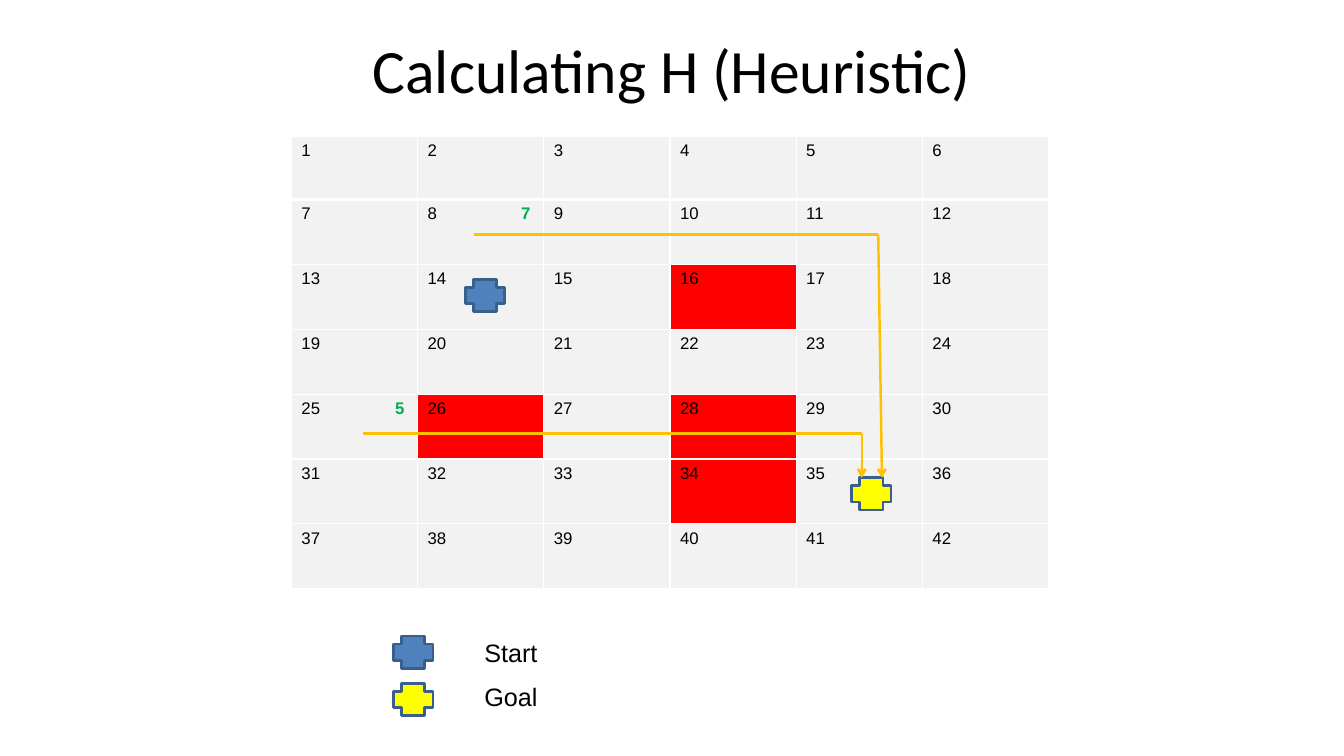
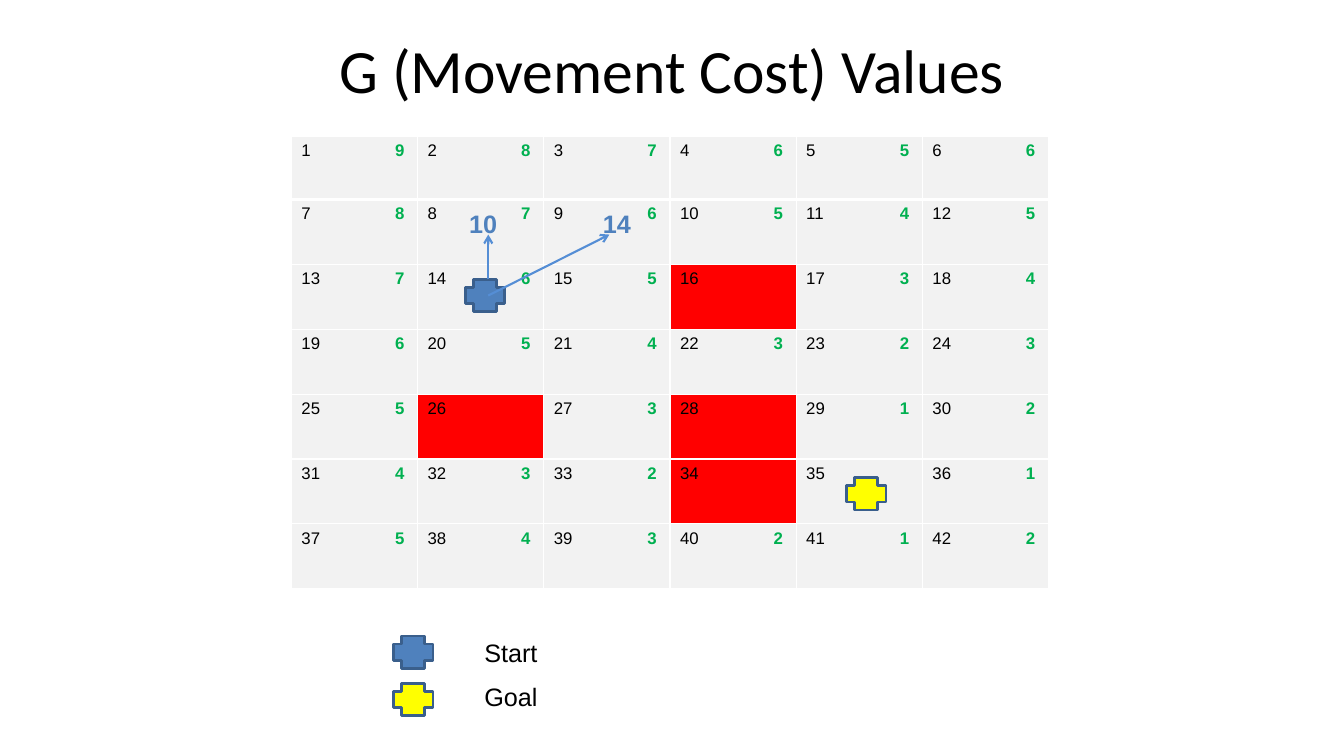
import lxml.etree
import pptx
import pptx.dml.color
import pptx.enum.shapes
import pptx.enum.text
import pptx.oxml.ns
import pptx.util

RGB = pptx.dml.color.RGBColor
BLACK = RGB(0x00, 0x00, 0x00)
WHITE = RGB(0xFF, 0xFF, 0xFF)
GREY = RGB(0xF2, 0xF2, 0xF2)
RED = RGB(0xFF, 0x00, 0x00)
GREEN = RGB(0x00, 0xB0, 0x50)
BLUE = RGB(0x4F, 0x81, 0xBD)
NAVY = RGB(0x3A, 0x5F, 0x8C)
SKY = RGB(0x55, 0x8E, 0xD5)
YELLOW = RGB(0xFF, 0xFF, 0x00)
AMBER = RGB(0xFF, 0xC0, 0x00)

INCH = pptx.util.Inches
WIDE, HIGH = INCH(13.33), INCH(7.5)

COLS, ROWS = 6, 7
LEFT, TOP = INCH(2.89), INCH(1.35)
GRID_W, GRID_H = INCH(7.51), INCH(4.49)
HEAD = INCH(0.63)
COL = GRID_W // COLS
ROW = (GRID_H - HEAD) // (ROWS - 1)
TAB = INCH(1.02)

WALLS = {16, 26, 28, 34}
GOAL = 35
CELLS = set(range(1, COLS * ROWS + 1))


def spot(col, row):
    """Turn a grid column and row, counted from 0, into a slide position."""
    return round(LEFT + col * COL), round(TOP + HEAD + (row - 1) * ROW)


def steps(cell):
    """Count the moves across and down from a cell to the goal."""
    row, col = divmod(cell - 1, COLS)
    goal_row, goal_col = divmod(GOAL - 1, COLS)
    return abs(row - goal_row) + abs(col - goal_col)


def add_node(parent, tag, **attrs):
    node = lxml.etree.SubElement(parent, pptx.oxml.ns.qn(tag))
    for name, value in attrs.items():
        node.set(name, str(value))
    return node


def add_run(para, text, size, color=BLACK, bold=False, face="Arial"):
    run = para.add_run()
    run.text = text
    run.font.name = face
    run.font.size = pptx.util.Pt(size)
    run.font.bold = bold
    run.font.color.rgb = color


def set_title(slide, text):
    title = slide.shapes.title
    title.left, title.top = round((WIDE - INCH(9)) / 2), round(HIGH * 0.04)
    title.width, title.height = INCH(9), INCH(0.77)
    frame = title.text_frame
    frame.vertical_anchor = pptx.enum.text.MSO_ANCHOR.MIDDLE
    para = frame.paragraphs[0]
    para.alignment = pptx.enum.text.PP_ALIGN.CENTER
    add_run(para, text, 44, face="Calibri")


def set_edges(cell, row):
    """Draw white cell borders, with a thick rule under the first row."""
    props = cell._tc.get_or_add_tcPr()
    wide = {0: "a:lnB", 1: "a:lnT"}.get(row)
    for tag in ("a:lnL", "a:lnR", "a:lnT", "a:lnB"):
        width = pptx.util.Pt(3 if tag == wide else 1)
        fill = add_node(add_node(props, tag, w=int(width)), "a:solidFill")
        add_node(fill, "a:srgbClr", val=WHITE)


def fill_cell(cell, number, costed):
    set_edges(cell, (number - 1) // COLS)
    cell.fill.solid()
    cell.fill.fore_color.rgb = RED if number in WALLS else GREY
    para = cell.text_frame.paragraphs[0]
    if not costed:
        add_run(para, str(number), 12)
        return
    tabs = add_node(para._p.get_or_add_pPr(), "a:tabLst")
    add_node(tabs, "a:tab", pos=int(TAB), algn="r")
    add_run(para, f"{number}\t", 12)
    add_run(para, str(steps(number)), 12, GREEN, True)


def add_grid(slide, costed):
    """Add the numbered grid; cells in costed also show their steps."""
    table = slide.shapes.add_table(ROWS, COLS, LEFT, TOP, GRID_W, GRID_H).table
    table.first_row = table.horz_banding = False
    for col in table.columns:
        col.width = COL
    for index, row in enumerate(table.rows):
        row.height = ROW if index else HEAD
    for number, cell in enumerate(table.iter_cells(), 1):
        fill_cell(cell, number, number in costed)


def add_mark(slide, col, row, color):
    cross = slide.shapes.add_shape(pptx.enum.shapes.MSO_SHAPE.CROSS,
                                   *spot(col, row), INCH(0.39), INCH(0.32))
    cross.shadow.inherit = False
    cross.fill.solid()
    cross.fill.fore_color.rgb = color
    cross.line.color.rgb = NAVY
    cross.line.width = pptx.util.Pt(2)


def add_label(slide, text, col, row, width, color=BLACK, bold=False):
    box = slide.shapes.add_textbox(*spot(col, row), INCH(width), INCH(0.4))
    frame = box.text_frame
    frame.word_wrap = True
    frame.auto_size = pptx.enum.text.MSO_AUTO_SIZE.SHAPE_TO_FIT_TEXT
    add_run(frame.paragraphs[0], text, 18, color, bold)


def add_route(slide, points, color, width):
    """Join grid points by straight lines, with an arrow at the last one."""
    for start, end in zip(points, points[1:]):
        line = slide.shapes.add_connector(
            pptx.enum.shapes.MSO_CONNECTOR.STRAIGHT, *spot(*start), *spot(*end))
        line.line.color.rgb = color
        line.line.width = pptx.util.Pt(width)
        add_node(line._element.spPr, "a:effectLst")
    add_node(line.line._get_or_add_ln(), "a:tailEnd", type="arrow")


def add_board(deck, title, costed, goal_col):
    """Add a slide with its title, grid, two marks and the legend."""
    slide = deck.slides.add_slide(deck.slide_layouts[5])
    set_title(slide, title)
    add_grid(slide, costed)
    add_mark(slide, 1.38, 2.23, BLUE)
    add_mark(slide, goal_col, 5.29, YELLOW)
    for text, color, mark_row, text_row in (("Start", BLUE, 7.73, 7.67),
                                            ("Goal", YELLOW, 8.46, 8.35)):
        add_mark(slide, 0.81, mark_row, color)
        add_label(slide, text, 1.45, text_row, 1.18)
    return slide


def main():
    deck = pptx.Presentation()
    deck.slide_width, deck.slide_height = WIDE, HIGH

    slide = add_board(deck, "Calculating H (Heuristic)", {8, 25}, 4.44)
    add_route(slide, [(1.45, 1.54), (4.65, 1.54), (4.68, 5.29)], AMBER, 1.75)
    add_route(slide, [(0.57, 4.61), (4.52, 4.61), (4.52, 5.29)], AMBER, 1.75)

    slide = add_board(deck, "G (Movement Cost) Values",
                      CELLS - WALLS - {GOAL}, 4.4)
    add_route(slide, [(1.56, 2.48), (2.52, 1.54)], SKY, 1.5)
    add_route(slide, [(1.56, 2.23), (1.56, 1.54)], SKY, 1.5)
    for text, col in (("10", 1.33), ("14", 2.39)):
        add_label(slide, text, col, 1.06, 0.55, BLUE, True)

    deck.save("out.pptx")


if __name__ == "__main__":
    main()
